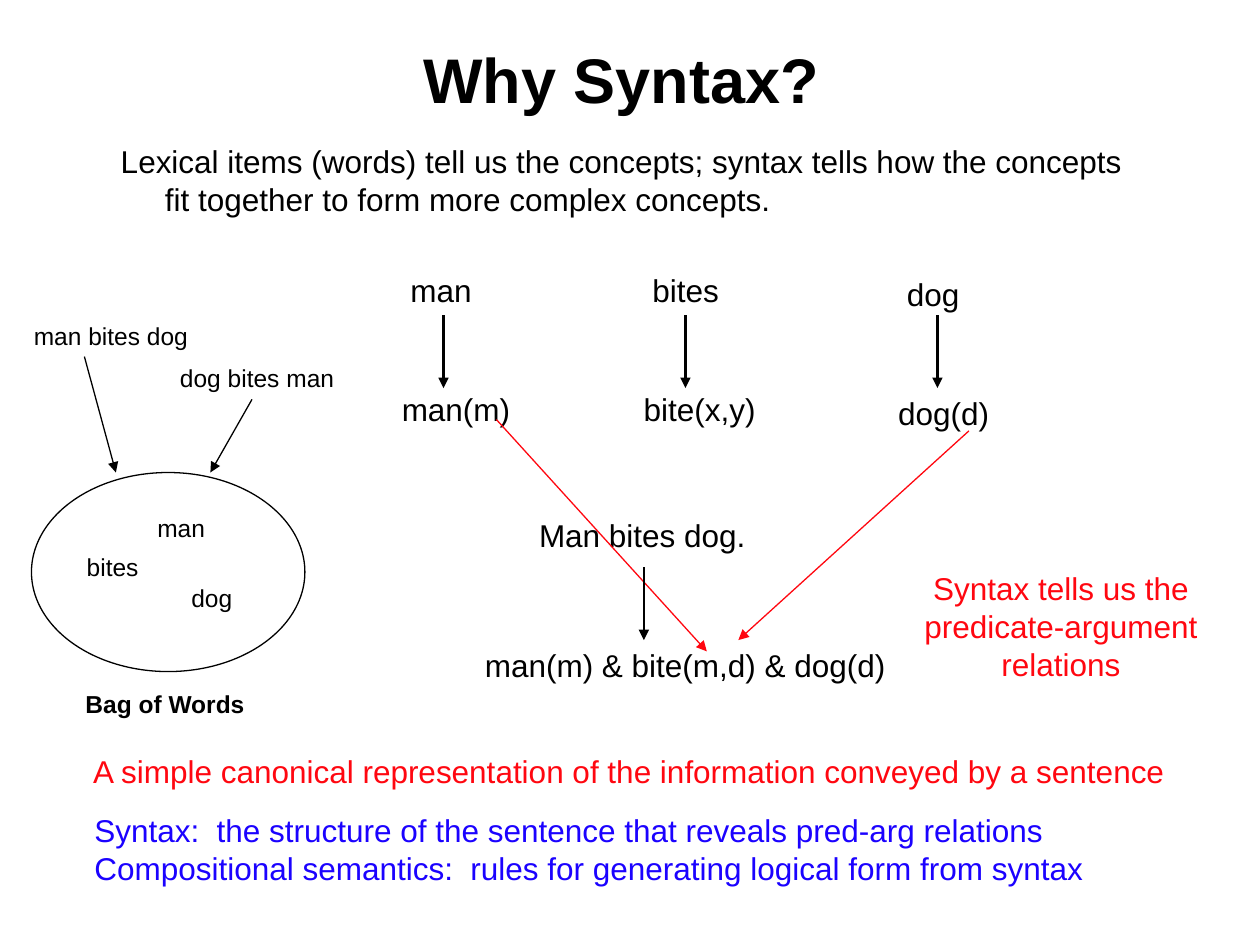
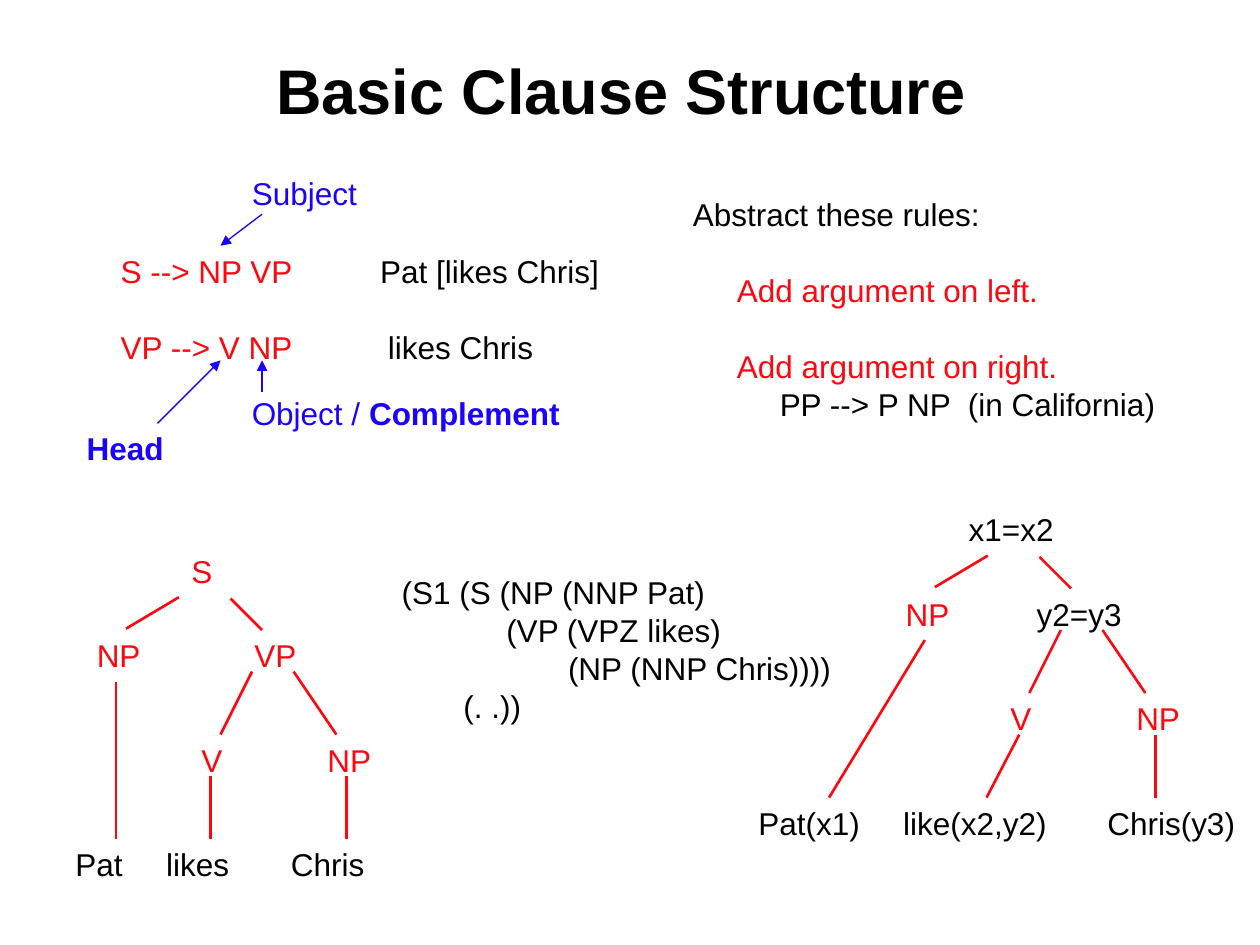
from dataclasses import dataclass

from lxml.etree import SubElement
from pptx import Presentation
from pptx.dml.color import RGBColor
from pptx.enum.shapes import MSO_CONNECTOR as Link, MSO_SHAPE as Shape
from pptx.enum.text import MSO_ANCHOR as Anchor, MSO_AUTO_SIZE as Fit, PP_ALIGN as Align
from pptx.oxml.ns import qn
from pptx.util import Pt

PX = 9144  # 100 px to the inch


@dataclass(frozen=True)
class Theme:
    font: str = "Arial"
    black: str = "000000"
    red: str = "FF0710"
    blue: str = "1B02FF"
    title: int = 36
    body: int = 18
    small: int = 14
    thin: float = 0.75
    thick: float = 1.5
    skip: float = 21.7  # points that leave one line free
    slack: int = 6  # px that keep a label on one line


T = Theme()


@dataclass(frozen=True)
class Line:
    """A line of text, as a string or as (text, format) runs."""
    runs: object
    indent: int = 0
    tabs: tuple = ()
    before: float = 0


class Deck:
    def __init__(self, width, height):
        self.prs = Presentation()
        self.prs.slide_width, self.prs.slide_height = width * PX, height * PX
        self.s = None

    def slide(self, title, y):
        self.s = self.prs.slides.add_slide(self.prs.slide_layouts[6])
        tf = self.text(65, y, 850, title, size=T.title, bold=True,
                       align=Align.CENTER, height=125)
        tf.vertical_anchor, tf.auto_size = Anchor.MIDDLE, Fit.NONE

    def text(self, x, y, w, *lines, color=T.black, size=T.body, bold=False,
             align=Align.LEFT, height=None):
        w += T.slack
        h = height or 10 + round(len(lines) * size * 5 / 3)
        tf = self.s.shapes.add_textbox(x * PX, y * PX, w * PX, h * PX).text_frame
        tf.word_wrap, tf.auto_size = True, Fit.SHAPE_TO_FIT_TEXT
        base = dict(color=color, size=size, bold=bold)
        for i, line in enumerate(lines):
            line = Line(line) if isinstance(line, str) else line
            p = tf.add_paragraph() if i else tf.paragraphs[0]
            p.alignment = align
            p.space_before = Pt(line.before)
            self.place(p, line)
            runs = [(line.runs, {})] if isinstance(line.runs, str) else line.runs
            for words, extra in runs:
                self.run(p, words, **{**base, **extra})
        return tf

    def place(self, p, line):
        pPr = p._p.get_or_add_pPr()
        if line.indent:
            pPr.set("marL", str(line.indent * PX))
        if line.tabs:
            stops = SubElement(pPr, qn("a:tabLst"))
            for tab in line.tabs:
                SubElement(stops, qn("a:tab"), pos=str(tab * PX), algn="l")

    def run(self, p, words, color, size, bold):
        r = p.add_run()
        r.text = words
        for key, value in dict(name=T.font, size=Pt(size), bold=bold).items():
            setattr(r.font, key, value)
        r.font.color.rgb = RGBColor.from_string(color)

    def stroke(self, sp, color, width):
        sp.line.color.rgb = RGBColor.from_string(color)
        sp.line.width = Pt(width)

    def line(self, x1, y1, x2, y2, color=T.black, width=T.thin, arrow=False):
        sp = self.s.shapes.add_connector(
            Link.STRAIGHT, x1 * PX, y1 * PX, x2 * PX, y2 * PX)
        self.stroke(sp, color, width)
        if arrow:
            SubElement(sp.line._get_or_add_ln(), qn("a:tailEnd"), type="triangle")
        SubElement(sp._element.spPr, qn("a:effectLst"))

    def arrow(self, *ends, **style):
        self.line(*ends, arrow=True, **style)

    def ellipse(self, x, y, w, h):
        sp = self.s.shapes.add_shape(Shape.OVAL, x * PX, y * PX, w * PX, h * PX)
        sp.shadow.inherit = False
        sp.fill.background()
        self.stroke(sp, T.black, T.thin)

    def tree(self, x, y, root, phrase, leaves, subject_end, verb_end):
        """Draw a clause tree; root and phrase are (text, x, y, width, color),
        leaves are (text, x, width, tabs)."""
        nodes = [root, phrase, ("NP", 17, 67, 54, T.red),
                 ("V", 100, 150, 36, T.red), ("NP", 200, 150, 54, T.red)]
        for words, nx, ny, w, color in nodes:
            self.text(x + nx, y + ny, w, words, color=color)
        words, lx, w, tabs = leaves
        self.text(x + lx, y + 233, w, Line(words, tabs=tabs))
        branches = [(92, 41, 50, 66), (133, 42, 158, 67),
                    (150, 100, 125, 150), (183, 100, 217, 150),
                    (42, 108, subject_end, 233), (117, 183, verb_end, 233),
                    (225, 183, 225, 233)]
        for x1, y1, x2, y2 in branches:
            self.line(x + x1, y + y1, x + x2, y + y2, color=T.red, width=T.thick)


def why_syntax(d):
    d.slide("Why Syntax?", 0)
    d.text(86, 108, 815,
           "Lexical items (words) tell us the concepts; syntax tells how the concepts",
           Line("fit together to form more complex concepts.", indent=35))

    # Words and their concepts
    for word, x, y, w, concept, cw, ax in [
            ("man", 316, 210, 68, "man(m)", 106, 352),
            ("bites", 508, 210, 73, "bite(x,y)", 109, 544),
            ("dog", 710, 213, 61, "dog(d)", 92, 744)]:
        d.text(x, y, w, word)
        d.text(x - 7, y + 95, cw, concept)
        d.arrow(ax, 250, ax, 308, width=T.thick)

    # Sentence and its logical form
    d.text(418, 405, 184, "Man bites dog.")
    d.text(375, 508, 338, "man(m) & bite(m,d) & dog(d)")
    d.arrow(769, 342, 586, 508, color=T.red)
    d.arrow(394, 333, 561, 517, color=T.red)
    d.arrow(511, 450, 511, 508, width=T.thick)
    d.text(721, 447, 236, "Syntax tells us the", "predicate-argument", "relations",
           color=T.red, align=Align.CENTER)

    # Bag of words
    for words, x, y, w in [("man", 115, 402, 58), ("dog", 142, 458, 52),
                           ("bites", 59, 433, 61), ("man bites dog", 17, 250, 142),
                           ("dog bites man", 133, 283, 142)]:
        d.text(x, y, w, words, size=T.small)
    d.ellipse(25, 375, 217, 158)
    d.text(58, 542, 146, "Bag of Words", size=T.small, bold=True)
    d.arrow(67, 283, 92, 375)
    d.arrow(200, 317, 167, 375)

    # Conclusions
    d.text(64, 592, 872,
           "A simple canonical representation of the information conveyed by a sentence",
           color=T.red)
    d.text(65, 639, 805,
           "Syntax:  the structure of the sentence that reveals pred-arg relations",
           "Compositional semantics:  rules for generating logical form from syntax",
           color=T.blue)


def clause_structure(d):
    d.slide("Basic Clause Structure", 8)
    red = dict(color=T.red)

    # Phrase rules with examples
    d.text(86, 195, 400,
           Line([("S --> NP VP", red), ("\tPat [likes Chris]", {})], tabs=(206,)),
           Line([("VP --> V NP", red), ("\tlikes Chris", {})], tabs=(212,),
                before=T.skip))

    # Names of the parts
    d.text(190, 133, 103, "Subject", color=T.blue)
    d.text(190, 308, 264, Line([("Object / ", {}), ("Complement", dict(bold=True))]),
           color=T.blue)
    d.text(59, 336, 81, "Head", color=T.blue, bold=True)
    for ends in [(208, 311, 208, 286), (208, 170, 175, 195), (125, 336, 175, 286)]:
        d.arrow(*ends, color=T.blue)

    # Abstract rules
    d.text(540, 150, 389, "Abstract these rules:",
           Line([("Add argument on left.", red)], indent=35, before=T.skip),
           Line([("Add argument on right.", red)], indent=35, before=T.skip),
           Line("PP --> P NP  (in California)", indent=69))

    # Bracketed parse
    d.text(309, 450, 361, "(S1 (S (NP (NNP Pat)",
           Line("(VP (VPZ likes)", indent=83),
           Line("(NP (NNP Chris))))", indent=132),
           Line("(. .))", indent=49))

    # Syntax tree and the same tree with logical forms
    d.tree(50, 433, ("S", 92, 0, 36, T.red), ("VP", 142, 67, 53, T.red),
           ("Pat\tlikes\tChris", 0, 249, (72, 171)), 42, 117)
    d.tree(692, 400, ("x1=x2", 67, 0, 87, T.black), ("y2=y3", 121, 67, 87, T.black),
           ("Pat(x1)\tlike(x2,y2)\tChris(y3)", -100, 399, (115, 277)), -34, 91)


def main():
    d = Deck(1000, 750)
    why_syntax(d)
    clause_structure(d)
    d.prs.save("out.pptx")


if __name__ == "__main__":
    main()
